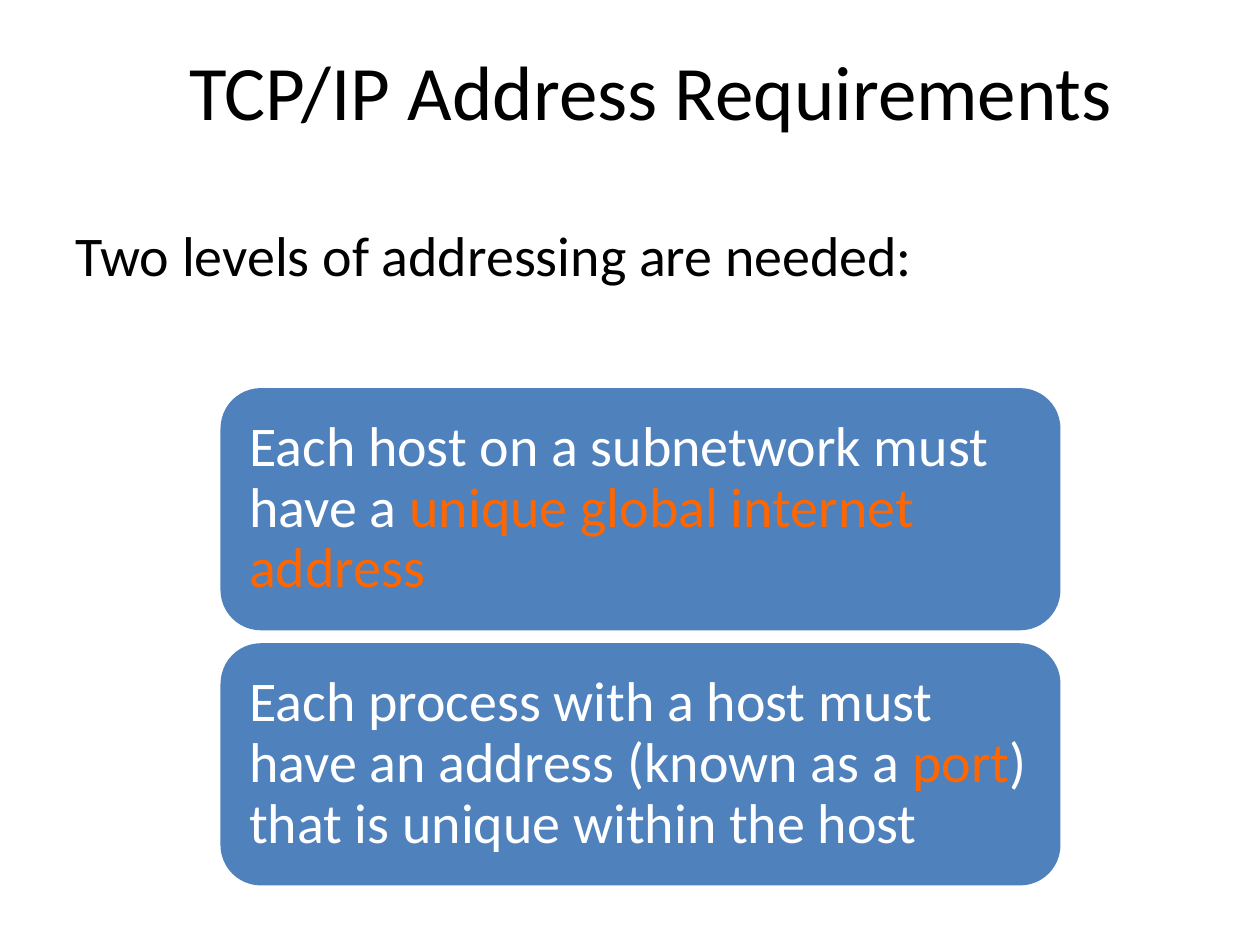
from pptx import Presentation
from pptx.dml.color import RGBColor
from pptx.enum.shapes import MSO_SHAPE as Shape
from pptx.enum.text import MSO_ANCHOR as Anchor, PP_ALIGN as Align
from pptx.util import Pt


def color(value):
    return RGBColor.from_string(value)


class SlideBuilder:
    font = "Calibri"
    black = "000000"
    white = "FFFFFF"
    blue = "4F81BD"
    orange = "FF6600"

    def __init__(self, page):
        self.page = page

    def add_spans(self, frame, spans, size, align=Align.LEFT):
        frame.word_wrap = True
        para = frame.paragraphs[0]
        para.alignment = align
        for text, tint in spans:
            span = para.add_run()
            span.text = text
            span.font.name = self.font
            span.font.size = Pt(size)
            span.font.color.rgb = color(tint)
        return para

    def text(self, area, words, size, align=Align.LEFT, anchor=Anchor.TOP):
        box = self.page.shapes.add_textbox(*map(Pt, area))
        box.text_frame.vertical_anchor = anchor
        self.add_spans(box.text_frame, [(words, self.black)], size, align)

    def card(self, area, spans):
        box = self.page.shapes.add_shape(Shape.ROUNDED_RECTANGLE, *map(Pt, area))
        box.shadow.inherit = False
        box.fill.solid()
        box.fill.fore_color.rgb = color(self.blue)
        box.line.fill.background()
        frame = box.text_frame
        frame.vertical_anchor = Anchor.MIDDLE
        frame.margin_left = frame.margin_right = Pt(9.6)
        frame.margin_top = frame.margin_bottom = Pt(9.6)
        para = self.add_spans(frame, spans, 32)
        para.line_spacing = 0.9


def main():
    deck = Presentation()
    deck.slide_width, deck.slide_height = Pt(720), Pt(540)
    slide = SlideBuilder(deck.slides.add_slide(deck.slide_layouts[6]))

    slide.text((36, 6, 672, 90), "TCP/IP Address Requirements", 44,
               Align.CENTER, Anchor.MIDDLE)
    slide.text((36, 122.4, 648, 396), "Two levels of addressing are needed:", 32)

    requirements = [
        [("Each host on a subnetwork must have a ", slide.white),
         ("unique global internet address", slide.orange)],
        [("Each process with a host must have an address (known as a ", slide.white),
         ("port", slide.orange),
         (") that is unique within the host", slide.white)],
    ]
    top, height, gap = 221.8, 138.4, 7.4
    for index, spans in enumerate(requirements):
        slide.card((126, top + index * (height + gap), 480, height), spans)

    deck.save("out.pptx")


if __name__ == "__main__":
    main()
